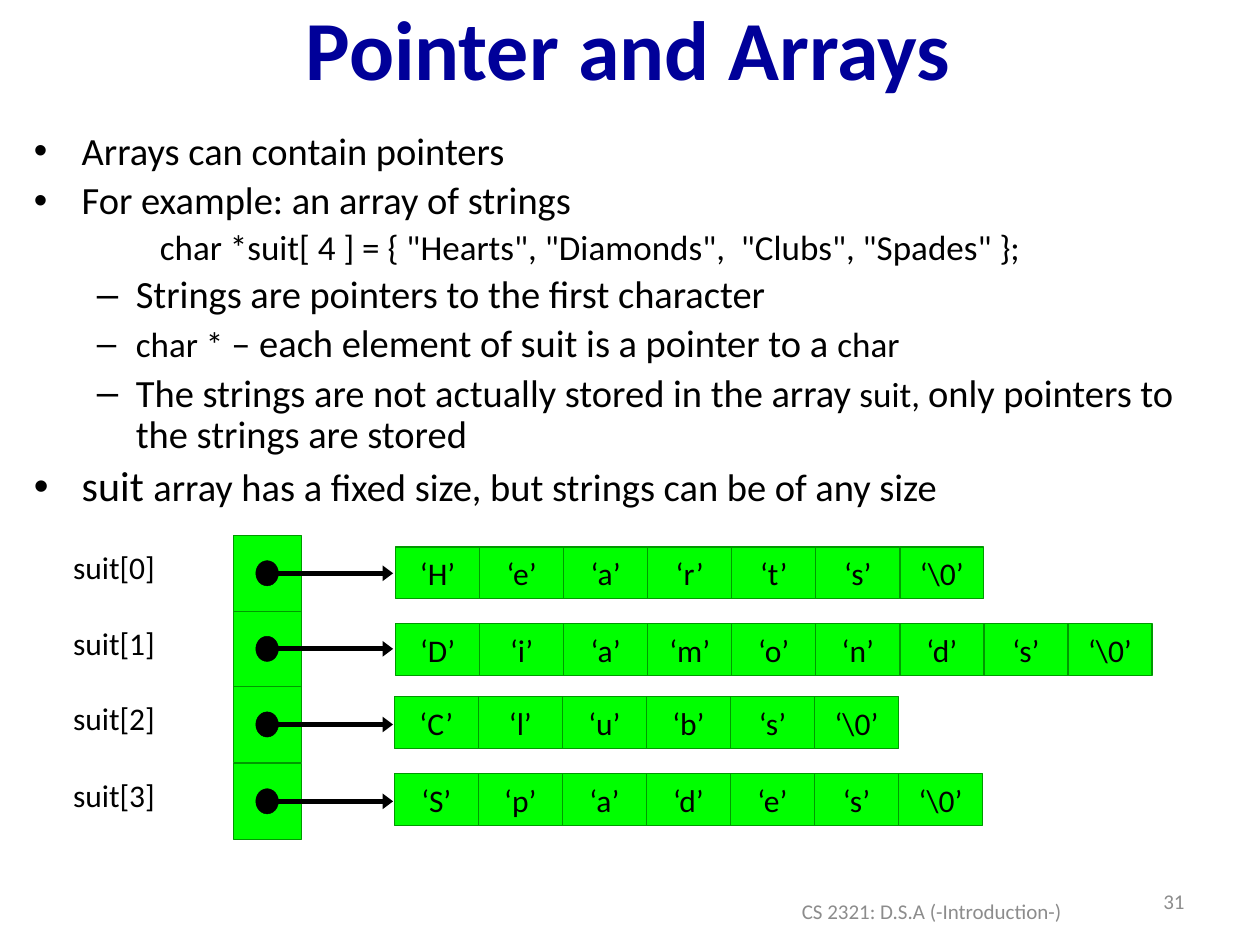
from lxml.etree import SubElement
from pptx import Presentation
from pptx.dml.color import RGBColor
from pptx.enum.shapes import MSO_CONNECTOR, MSO_SHAPE
from pptx.enum.text import MSO_ANCHOR, PP_ALIGN
from pptx.oxml.ns import qn
from pptx.util import Inches, Pt

BLACK = RGBColor(0x00, 0x00, 0x00)
NAVY = RGBColor(0x00, 0x00, 0x99)
GREY = RGBColor(0x8C, 0x8C, 0x8C)
GREEN = RGBColor(0x00, 0xFF, 0x00)
DARK_GREEN = RGBColor(0x00, 0x99, 0x00)
FONT = "Calibri"

TITLE = "Pointer and Arrays"
FOOTER = "CS 2321: D.S.A (-Introduction-)"
PAGE_NUMBER = "31"

# Paragraph kind: level, left margin, first-line indent, bullet
KINDS = {
    "point": (0, 0.38, -0.38, "•"),
    "detail": (1, 0.81, -0.31, "–"),
    "code": (2, 1.25, -0.25, None),
}
BODY = [
    ("point", [("Arrays can contain pointers", 22)]),
    ("point", [("For example: an array of strings", 22)]),
    ("code", [('char *suit[ 4 ] = { "Hearts", "Diamonds",  "Clubs", "Spades" };', 20)]),
    ("detail", [("Strings are pointers to the first character", 22)]),
    ("detail", [("char * ", 20), ("– each element of suit is a pointer to a ", 22),
                ("char", 20)]),
    ("detail", [("The strings are not actually stored in the array", 22),
                (" suit, ", 20), ("only pointers to the strings are stored", 22)]),
    ("point", [("suit ", 24),
               ("array has a fixed size, but strings can be of any size", 22)]),
]

# String, top of its pointer box, left and top of its characters
SUITS = [
    ("Hearts", 4.25, 3.14, 4.34),
    ("Diamonds", 4.85, 3.14, 4.95),
    ("Clubs", 5.45, 3.13, 5.53),
    ("Spades", 6.06, 3.13, 6.14),
]
POINTER_LEFT, POINTER_W, POINTER_H = 1.85, 0.54, 0.6
DOT_W, DOT_H = 0.18, 0.2
ARROW_END = 3.12
CELL_W, CELL_H = 0.667, 0.41


def style_font(font, size, color=BLACK, bold=False):
    font.name, font.size, font.bold = FONT, Pt(size), bold
    font.color.rgb = color


def add_text(slide, box, text, size, color=BLACK, align=PP_ALIGN.LEFT,
             anchor=MSO_ANCHOR.MIDDLE, bold=False):
    frame = slide.shapes.add_textbox(*map(Inches, box)).text_frame
    frame.word_wrap = True
    frame.vertical_anchor = anchor
    frame.text = text
    frame.paragraphs[0].alignment = align
    style_font(frame.paragraphs[0].runs[0].font, size, color, bold)
    return frame


def add_filled(slide, preset, box, fill, line, line_width):
    shape = slide.shapes.add_shape(preset, *map(Inches, box))
    shape.shadow.inherit = False
    shape.fill.solid()
    shape.fill.fore_color.rgb = fill
    shape.line.color.rgb = line
    shape.line.width = Pt(line_width)
    return shape


def add_arrow(slide, left, right, y):
    arrow = slide.shapes.add_connector(
        MSO_CONNECTOR.STRAIGHT, Inches(left), Inches(y), Inches(right), Inches(y))
    arrow.line.color.rgb = BLACK
    arrow.line.width = Pt(3)
    SubElement(arrow.line._get_or_add_ln(), qn("a:tailEnd"),
               type="triangle", w="med", len="sm")
    SubElement(arrow._element.spPr, qn("a:effectLst"))


def add_body(slide):
    frame = slide.shapes.add_textbox(*map(Inches, (0.17, 1, 9.58, 3.23))).text_frame
    frame.word_wrap = True
    for i, (kind, runs) in enumerate(BODY):
        paragraph = frame.add_paragraph() if i else frame.paragraphs[0]
        level, margin, indent, bullet = KINDS[kind]
        paragraph.level = level
        paragraph.line_spacing = 0.9
        if i:
            paragraph.space_before = Pt(0.2 * max(size for _, size in runs))
        properties = paragraph._p.get_or_add_pPr()
        properties.set("marL", str(Inches(margin)))
        properties.set("indent", str(Inches(indent)))
        if bullet:
            SubElement(properties, qn("a:buFont"), typeface="Arial")
            SubElement(properties, qn("a:buChar"), char=bullet)
        else:
            SubElement(properties, qn("a:buNone"))
        for text, size in runs:
            run = paragraph.add_run()
            run.text = text
            style_font(run.font, size)


def add_pointer(slide, index, top):
    """Draw one element of suit: its box, label, dot and arrow."""
    add_filled(slide, MSO_SHAPE.RECTANGLE,
               (POINTER_LEFT, top, POINTER_W, POINTER_H), GREEN, DARK_GREEN, 0.25)
    center_x, center_y = POINTER_LEFT + POINTER_W / 2, top + POINTER_H / 2
    add_filled(slide, MSO_SHAPE.OVAL,
               (center_x - DOT_W / 2, center_y - DOT_H / 2, DOT_W, DOT_H),
               BLACK, BLACK, 0.25)
    label = add_text(slide, (0.58, top + 0.1, 1.33, 0.47), f"suit[{index}]", 18,
                     anchor=MSO_ANCHOR.TOP)
    label.margin_left = label.margin_right = label.margin_top = label.margin_bottom = 0
    add_arrow(slide, center_x + DOT_W / 2, ARROW_END, center_y)


def add_characters(slide, word, left, top):
    for i, character in enumerate([*word, r"\0"]):
        cell = add_filled(slide, MSO_SHAPE.RECTANGLE,
                          (left + i * CELL_W, top, CELL_W, CELL_H),
                          GREEN, DARK_GREEN, 0.75)
        frame = cell.text_frame
        frame.word_wrap = False
        frame.vertical_anchor = MSO_ANCHOR.MIDDLE
        frame.text = f"‘{character}’"
        frame.paragraphs[0].alignment = PP_ALIGN.CENTER
        style_font(frame.paragraphs[0].runs[0].font, 18)


def main():
    prs = Presentation()
    prs.slide_width, prs.slide_height = Inches(10), Inches(7.5)
    slide = prs.slides.add_slide(prs.slide_layouts[6])
    add_text(slide, (0.07, 0.09, 9.83, 0.57), TITLE, 48, NAVY, PP_ALIGN.CENTER, bold=True)
    add_body(slide)
    for index, (word, pointer_top, left, top) in enumerate(SUITS):
        add_pointer(slide, index, pointer_top)
        add_characters(slide, word.replace("Hearts", "Hearts"), left, top)
    add_text(slide, (5.81, 7.03, 3.17, 0.4), FOOTER, 12, GREY, PP_ALIGN.CENTER)
    add_text(slide, (7.17, 6.95, 2.33, 0.4), PAGE_NUMBER, 12, GREY, PP_ALIGN.RIGHT)
    prs.save("out.pptx")


if __name__ == "__main__":
    main()
